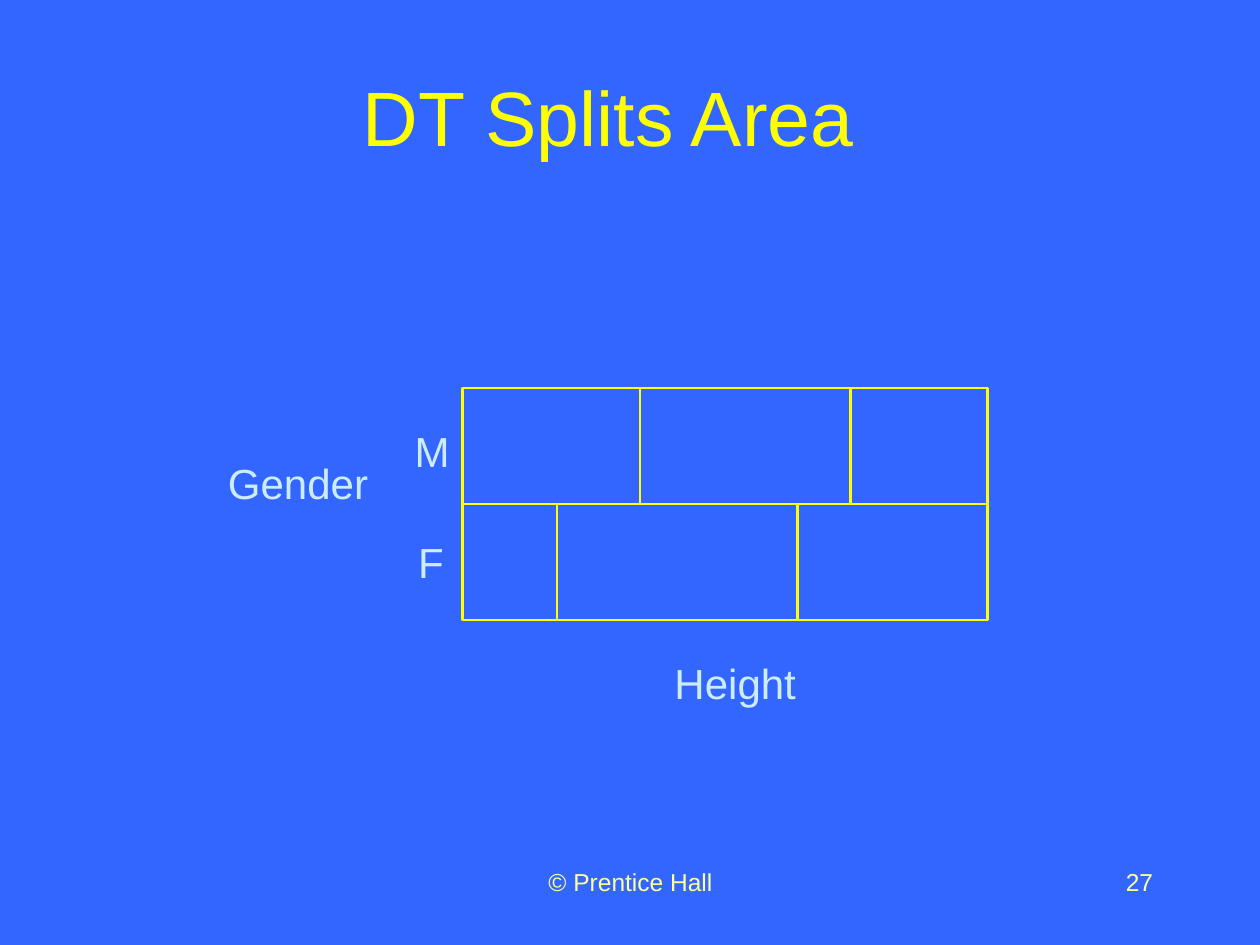
import pptx
import pptx.util
import pptx.dml.color
import pptx.enum.shapes
import pptx.enum.text
import pptx.oxml

Inches = pptx.util.Inches
Pt = pptx.util.Pt
RGBColor = pptx.dml.color.RGBColor
Align = pptx.enum.text.PP_ALIGN
Anchor = pptx.enum.text.MSO_ANCHOR
AutoSize = pptx.enum.text.MSO_AUTO_SIZE

BLUE = RGBColor(0x33, 0x66, 0xFF)
YELLOW = RGBColor(0xFF, 0xFF, 0x00)
PALE_YELLOW = RGBColor(0xFF, 0xFF, 0x99)
PALE_BLUE = RGBColor(0xCC, 0xEC, 0xFF)
FONT = "Arial"


def write(shape, text, size, color, align=Align.CENTER):
    para = shape.text_frame.paragraphs[0]
    para.text = text
    para.alignment = align
    para.font.name = FONT
    para.font.size = Pt(size)
    para.font.color.rgb = color


def add_label(page, box, text, size=24, color=PALE_BLUE, align=Align.CENTER, wrap=True):
    label = page.shapes.add_textbox(*map(Inches, box))
    label.text_frame.word_wrap = wrap
    write(label, text, size, color, align)


def add_divider(page, start, end):
    line = page.shapes.add_connector(
        pptx.enum.shapes.MSO_CONNECTOR.STRAIGHT, *map(Inches, start + end))
    line.line.color.rgb = YELLOW
    line.line.width = Pt(1.5)
    line._element.spPr.append(pptx.oxml.parse_xml(
        '<a:effectLst xmlns:a="http://schemas.openxmlformats.org/drawingml/2006/main"/>'))
    return line


def add_title(page, box):
    title = page.shapes.title
    title.left, title.top, title.width, title.height = map(Inches, box)
    frame = title.text_frame
    frame.word_wrap = True
    frame.auto_size = AutoSize.NONE
    frame.vertical_anchor = Anchor.MIDDLE
    frame.margin_right = Inches(0.44)  # centres the title slightly left
    write(title, "DT Splits Area", 44, YELLOW)


def add_split_area(page, box):
    left, top, width, height = box
    middle, bottom = top + height / 2, top + height

    # Whole area
    area = page.shapes.add_shape(
        pptx.enum.shapes.MSO_SHAPE.RECTANGLE, *map(Inches, box))
    area.shadow.inherit = False
    area.fill.background()
    area.line.color.rgb = YELLOW
    area.line.width = Pt(1.5)

    # Split by gender
    gender_split = add_divider(page, (left, middle), (left + width, middle))
    gender_split.begin_connect(area, 1)
    gender_split.end_connect(area, 3)

    # Splits by height within each gender
    for row_top, row_bottom, offsets in (
            (top, middle, (1.41, 3.08)), (middle, bottom, (0.75, 2.66))):
        for offset in offsets:
            add_divider(page, (left + offset, row_top), (left + offset, row_bottom))

    # Axis and row labels
    add_label(page, (left - 2, top + 0.5, 1.39, 0.5), "Gender")
    add_label(page, (left + 1.58, bottom + 0.25, 1.17, 0.5), "Height")
    add_label(page, (left - 0.48, top + 0.25, 0.48, 0.5), "M", wrap=False)
    add_label(page, (left - 0.45, top + 1.13, 0.4, 0.5), "F", wrap=False)


def add_footer(page, box):
    left, top, width, height = box
    add_label(page, (left, top, 3.17, height), "© Prentice Hall", 14, PALE_YELLOW)
    add_label(page, (left + width - 2.08, top, 2.08, height), "27", 14,
              PALE_YELLOW, Align.RIGHT)


def main():
    deck = pptx.Presentation()
    deck.slide_width, deck.slide_height = Inches(10), Inches(7.5)
    page = deck.slides.add_slide(deck.slide_layouts[5])
    page.background.fill.solid()
    page.background.fill.fore_color.rgb = BLUE
    add_title(page, (0.75, 0.25, 8.5, 1.33))
    add_split_area(page, (3.67, 3.08, 4.17, 1.84))
    add_footer(page, (3.42, 6.83, 5.83, 0.5))
    deck.save("out.pptx")


if __name__ == "__main__":
    main()
